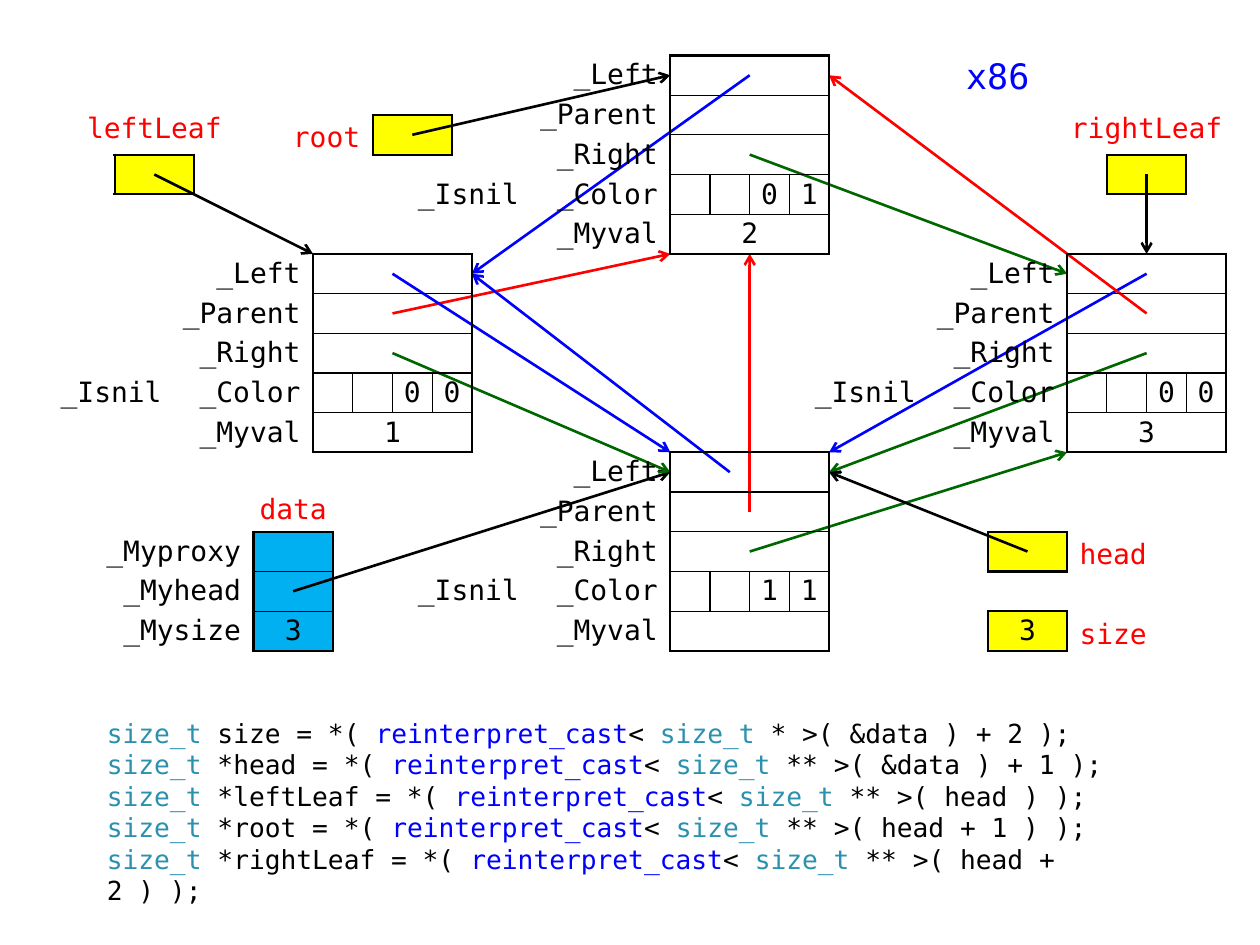
from dataclasses import dataclass
from typing import Any, NamedTuple

from lxml import etree
from pptx import Presentation
from pptx.dml.color import RGBColor
from pptx.enum.shapes import MSO_CONNECTOR
from pptx.enum.text import MSO_ANCHOR, PP_ALIGN
from pptx.oxml.ns import qn
from pptx.util import Inches, Pt

LEFT, CENTER, RIGHT = PP_ALIGN.LEFT, PP_ALIGN.CENTER, PP_ALIGN.RIGHT
TOP, MIDDLE, BOTTOM = MSO_ANCHOR.TOP, MSO_ANCHOR.MIDDLE, MSO_ANCHOR.BOTTOM
STRAIGHT = MSO_CONNECTOR.STRAIGHT
NO_GRID_STYLE = "{2D5ABB26-0587-4C30-8999-92F81FD0307C}"

# Everything but the code lies on a grid of square cells.
CELL = Inches(0.63) // 2
ORIGIN_X, ORIGIN_Y = Inches(0.28), Inches(0.44)


@dataclass(frozen=True)
class Theme:
    font: str = "DejaVu Sans Mono"
    black: str = "000000"
    red: str = "FF0000"
    blue: str = "0000FF"
    green: str = "006600"
    type_name: str = "2B91AF"
    pointer_fill: str = "FFFF00"
    data_fill: str = "00B0F0"
    text_size: int = 16
    title_size: int = 20
    code_size: int = 15
    thick: float = 1.5
    thin: float = 0.75


THEME = Theme()
THICK, THIN = THEME.thick, THEME.thin


class Node(NamedTuple):
    x: float
    y: float
    isnil: str
    color: str
    value: str


class Pointer(NamedTuple):
    x: float
    y: float
    value: str = ""


class Label(NamedTuple):
    text: str
    x: float
    y: float
    width: float
    height: float = 1
    align: Any = CENTER
    anchor: Any = TOP
    margins: tuple[float, float, float, float] = (0, 0, 0, 0)
    color: str = THEME.red
    size: int = THEME.text_size


class Arrow(NamedTuple):
    start: tuple[float, float]
    end: tuple[float, float]
    color: str = THEME.black


class Statement(NamedTuple):
    target: str
    stars: str
    source: str


NODES = [Node(0, 5, "0", "0", "1"), Node(9, 0, "0", "1", "2"),
         Node(9, 10, "1", "1", ""), Node(19, 5, "0", "0", "3")]
POINTERS = [Pointer(27, 2.5), Pointer(2, 2.5), Pointer(24, 12),
            Pointer(24, 14, "3"), Pointer(8.5, 1.5)]
SIDE = (0.1, 0.04, 0.1, 0)
ABOVE = (0, 0, 0, 0.08)
LABELS = [
    Label("data", 5.5, 11, 2),
    Label("rightLeaf", 25.5, 1, 5, 1.5, anchor=BOTTOM, margins=ABOVE),
    Label("leftLeaf", 0.5, 1, 5, 1.5, anchor=BOTTOM, margins=ABOVE),
    Label("head", 26, 12, 2.5, align=LEFT, margins=SIDE),
    Label("size", 26, 14, 2.5, align=LEFT, margins=SIDE),
    Label("root", 6, 1.5, 2.5, align=RIGHT, margins=SIDE),
    Label("x86", 23, 0, 2.5, anchor=MIDDLE, color=THEME.blue, size=THEME.title_size),
]
ARROWS = [
    Arrow((6.5, 13.5), (16, 10.5)),
    Arrow((18, 2.5), (26, 5.5), THEME.green),
    Arrow((9, 6.5), (16, 5), THEME.red),
    Arrow((17.5, 10.5), (11, 5.5), THEME.blue),
    Arrow((9, 5.5), (16, 10), THEME.blue),
    Arrow((9, 7.5), (16, 10.5), THEME.green),
    Arrow((28, 5.5), (20, 10), THEME.blue),
    Arrow((28, 7.5), (20, 10.5), THEME.green),
    Arrow((28, 3), (28, 5)),
    Arrow((18, 11.5), (18, 5), THEME.red),
    Arrow((18, 12.5), (26, 10), THEME.green),
    Arrow((3, 3), (7, 5)),
    Arrow((25, 12.5), (20, 10.5)),
    Arrow((9.5, 2), (16, 0.5)),
    Arrow((28, 6.5), (20, 0.5), THEME.red),
    Arrow((18, 0.5), (11, 5.5), THEME.blue),
]
STATEMENTS = [
    Statement("size", "*", "&data ) + 2"),
    Statement("*head", "**", "&data ) + 1"),
    Statement("*leftLeaf", "**", "head )"),
    Statement("*root", "**", "head + 1 )"),
    Statement("*rightLeaf", "**", "head + 2 )"),
]


def grid_point(x: float, y: float) -> tuple[int, int]:
    return ORIGIN_X + int(x * CELL), ORIGIN_Y + int(y * CELL)


def apply_format(target, values: dict[str, Any]) -> None:
    for name, value in values.items():
        setattr(target, name, value)


def set_margins(target, margins) -> None:
    sides = ("margin_left", "margin_top", "margin_right", "margin_bottom")
    apply_format(target, {side: Inches(m) for side, m in zip(sides, margins)})


def add_run(paragraph, text: str, color: str, size: int) -> None:
    run = paragraph.add_run()
    run.text = text
    apply_format(run.font, {"name": THEME.font, "size": Pt(size)})
    run.font.color.rgb = RGBColor.from_string(color)


def add_grid_table(slide, x: float, y: float, widths: list[float], rows: int):
    """Add an unstyled table with column widths given in grid cells."""
    frame = slide.shapes.add_table(rows, len(widths), *grid_point(x, y),
                                   int(sum(widths) * CELL), rows * CELL)
    table = frame.table
    apply_format(table, {"first_row": False, "horz_banding": False})
    table._tbl.tblPr.find(qn("a:tableStyleId")).text = NO_GRID_STYLE
    for column, width in zip(table.columns, widths):
        column.width = int(width * CELL)
    for cell in table.iter_cells():
        set_margins(cell, (0.08, 0, 0.08, 0))
        cell.vertical_anchor = MIDDLE
    return table


def set_cell(cell, text: str = "", align=CENTER, fill: str = "", **borders: float) -> None:
    """Write a cell; borders are widths in points under the keys L, R, T and B."""
    properties = cell._tc.get_or_add_tcPr()
    for side in "LRTB":
        if side in borders:
            line = etree.SubElement(properties, qn(f"a:ln{side}"), w=str(Pt(borders[side])))
            solid = etree.SubElement(line, qn("a:solidFill"))
            etree.SubElement(solid, qn("a:srgbClr"), val=THEME.black)
    if fill:
        cell.fill.solid()
        cell.fill.fore_color.rgb = RGBColor.from_string(fill)
    else:
        cell.fill.background()
    if text:
        paragraph = cell.text_frame.paragraphs[0]
        paragraph.alignment = align
        add_run(paragraph, text, THEME.black, THEME.text_size)


def set_field_name(cell, text: str, **borders: float) -> None:
    set_margins(cell, (0.1, 0, 0.1, 0))
    set_cell(cell, text, RIGHT, **borders)


def row_edges(row: int, rows: int) -> dict[str, float]:
    return {"T": THIN if row else THICK, "B": THIN if row < rows - 1 else THICK}


def draw_node(slide, node: Node) -> None:
    fields = ["_Left", "_Parent", "_Right", "_Color", "_Myval"]
    table = add_grid_table(slide, node.x, node.y, [3.5, 3.5, 1, 1, 1, 1], len(fields))
    for row, field in enumerate(fields):
        edges = row_edges(row, len(fields))
        if field == "_Color":
            set_field_name(table.cell(row, 0), "_Isnil")
            set_field_name(table.cell(row, 1), field, R=THICK)
            for index, byte in enumerate(["", "", node.isnil, node.color]):
                set_cell(table.cell(row, 2 + index), byte, L=THIN if index else THICK,
                         R=THIN if index < 3 else THICK, **edges)
            continue
        table.cell(row, 0).merge(table.cell(row, 1))
        table.cell(row, 2).merge(table.cell(row, 5))
        set_field_name(table.cell(row, 0), field, R=THICK)
        set_cell(table.cell(row, 2), node.value if field == "_Myval" else "",
                 L=THICK, R=THICK, **edges)


def draw_data(slide) -> None:
    members = {"_Myproxy": "", "_Myhead": "", "_Mysize": "3"}
    table = add_grid_table(slide, 1, 12, [4.5, 2], len(members))
    for row, (member, value) in enumerate(members.items()):
        set_field_name(table.cell(row, 0), member, R=THICK)
        set_cell(table.cell(row, 1), value, fill=THEME.data_fill,
                 L=THICK, R=THICK, **row_edges(row, len(members)))


def draw_pointer(slide, pointer: Pointer) -> None:
    table = add_grid_table(slide, pointer.x, pointer.y, [2], 1)
    set_cell(table.cell(0, 0), pointer.value, fill=THEME.pointer_fill,
             L=THICK, R=THICK, T=THICK, B=THICK)


def draw_label(slide, label: Label) -> None:
    box = slide.shapes.add_textbox(*grid_point(label.x, label.y),
                                   int(label.width * CELL), int(label.height * CELL))
    frame = box.text_frame
    apply_format(frame, {"word_wrap": True, "vertical_anchor": label.anchor})
    set_margins(frame, label.margins)
    frame.paragraphs[0].alignment = label.align
    add_run(frame.paragraphs[0], label.text, label.color, label.size)


def draw_arrow(slide, arrow: Arrow) -> None:
    connector = slide.shapes.add_connector(STRAIGHT, *grid_point(*arrow.start),
                                           *grid_point(*arrow.end))
    connector.line.width = Pt(THICK)
    connector.line.color.rgb = RGBColor.from_string(arrow.color)
    etree.SubElement(connector.line._get_or_add_ln(), qn("a:tailEnd"), type="arrow")
    etree.SubElement(connector._element.spPr, qn("a:effectLst"))


def draw_code(slide) -> None:
    frame = slide.shapes.add_textbox(Inches(0.75), Inches(5.64),
                                     Inches(8.5), Inches(1.42)).text_frame
    frame.word_wrap = True
    for index, statement in enumerate(STATEMENTS):
        paragraph = frame.add_paragraph() if index else frame.paragraphs[0]
        for text, color in [
            ("size_t", THEME.type_name),
            (f" {statement.target} = *( ", THEME.black),
            ("reinterpret_cast", THEME.blue),
            ("< ", THEME.black),
            ("size_t", THEME.type_name),
            (f" {statement.stars} >( {statement.source} );", THEME.black),
        ]:
            add_run(paragraph, text, color, THEME.code_size)


def main() -> None:
    presentation = Presentation()
    apply_format(presentation, {"slide_width": Inches(10), "slide_height": Inches(7.5)})
    slide = presentation.slides.add_slide(presentation.slide_layouts[6])
    draw_code(slide)
    draw_data(slide)
    for draw, items in [(draw_pointer, POINTERS), (draw_label, LABELS),
                        (draw_arrow, ARROWS), (draw_node, NODES)]:
        for item in items:
            draw(slide, item)
    presentation.save("out.pptx")


if __name__ == "__main__":
    main()
